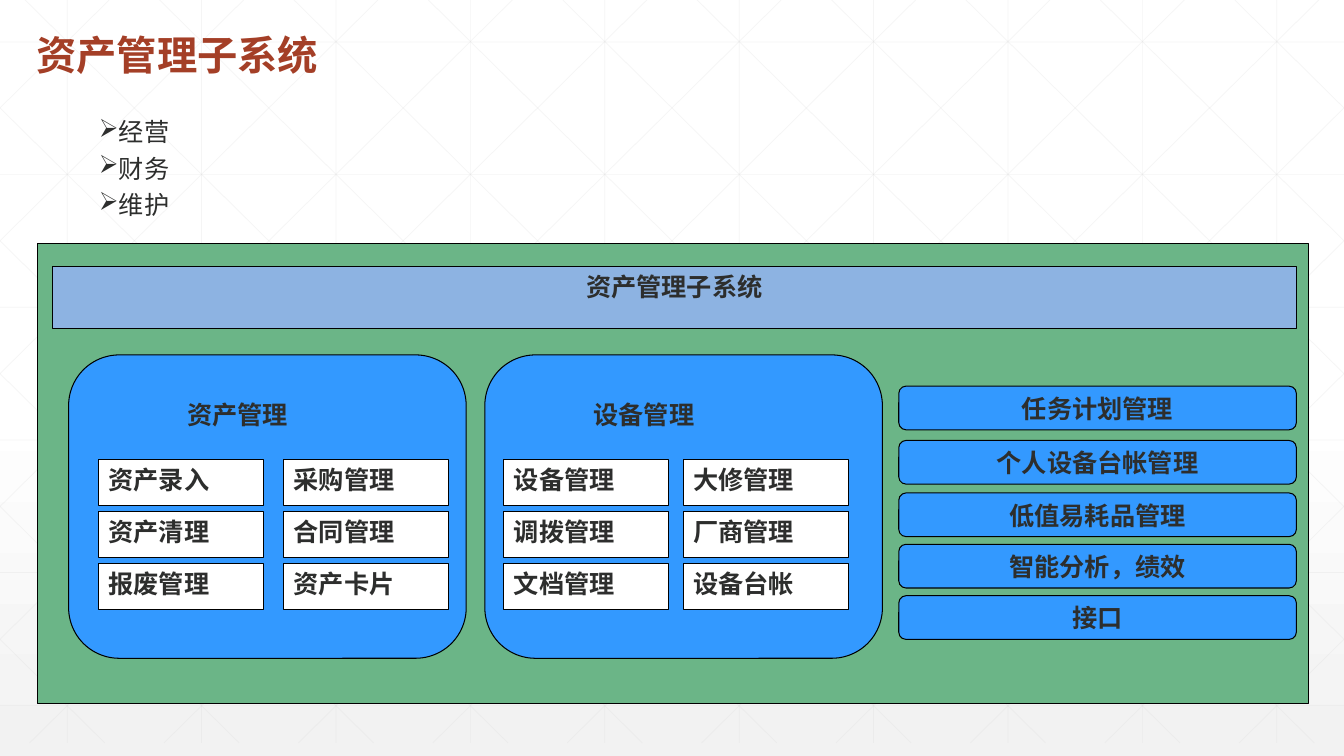
from lxml import etree
from pptx import Presentation
from pptx.dml.color import RGBColor
from pptx.enum.shapes import MSO_CONNECTOR, MSO_SHAPE
from pptx.enum.text import MSO_ANCHOR, PP_ALIGN
from pptx.oxml.ns import qn
from pptx.util import Pt

WIDTH, HEIGHT = 960, 540
LATTICE_BOTTOM = 530.6
STRAIGHT = MSO_CONNECTOR.STRAIGHT
RECT, ROUNDED = MSO_SHAPE.RECTANGLE, MSO_SHAPE.ROUNDED_RECTANGLE
TOP, MIDDLE = MSO_ANCHOR.TOP, MSO_ANCHOR.MIDDLE
LEFT, CENTER = PP_ALIGN.LEFT, PP_ALIGN.CENTER

COLORS = {
    "paper": "FFFFFF", "paper_end": "F2F2F2", "lattice": "D9D9D9",
    "title": "A43F27", "ink": "2D2E2D", "outline": "000000",
    "frame": "6BB587", "banner": "8DB3E2", "module": "3399FF",
}
CJK_FONT = "Noto Sans CJK SC"
TITLE = {"size": Pt(28.8), "name": CJK_FONT, "bold": True}
LABEL = {"size": Pt(18), "name": "Calibri", "bold": True}
BULLET = {"size": Pt(18), "name": "Arial", "bold": False}

# left edge, heading left edge, cell column edges, heading, rows of cells
MODULES = [
    (49, 126.7, (70.4, 202.7), "资产管理",
     [("资产录入", "采购管理"), ("资产清理", "合同管理"), ("报废管理", "资产卡片")]),
    (346.3, 416.9, (360, 488.2), "设备管理",
     [("设备管理", "大修管理"), ("调拨管理", "厂商管理"), ("文档管理", "设备台帐")]),
]
SERVICES = [
    (275.8, "任务计划管理"), (314.6, "个人设备台帐管理"), (352.1, "低值易耗品管理"),
    (388.8, "智能分析，绩效"), (425.5, "接口"),
]


def rgb(color):
    return RGBColor.from_string(COLORS[color])


class SlideBuilder:
    def __init__(self, slide):
        self.slide = slide

    def background(self):
        fill = self.slide.background.fill
        fill.gradient()
        fill.gradient_angle = 270
        for stop, color, position in zip(
                fill.gradient_stops, ("paper", "paper_end"), (0.53, 1)):
            stop.color.rgb = rgb(color)
            stop.position = position

    def lattice_line(self, x1, y1, x2, y2):
        line = self.slide.shapes.add_connector(
            STRAIGHT, Pt(x1), Pt(y1), Pt(x2), Pt(y2))
        line.line.width = Pt(0.5)
        line.line.color.rgb = rgb("lattice")
        properties = line._element.spPr
        tint = next(properties.iter(qn("a:srgbClr")))
        etree.SubElement(tint, qn("a:alpha"), val="25000")
        etree.SubElement(properties, qn("a:effectLst"))

    def add_text(self, paragraph, text, style, color="ink"):
        run = paragraph.add_run()
        run.text = text
        for attribute, value in style.items():
            setattr(run.font, attribute, value)
        run.font.color.rgb = rgb(color)
        latin = run._r.rPr.find(qn("a:latin"))
        latin.addnext(latin.makeelement(qn("a:ea"), typeface=CJK_FONT))

    def box(self, x, y, width, height, fill, text="", kind=RECT,
            outline="outline", align=LEFT):
        shape = self.slide.shapes.add_shape(
            kind, Pt(x), Pt(y), Pt(width), Pt(height))
        shape.shadow.inherit = False
        shape.fill.solid()
        shape.fill.fore_color.rgb = rgb(fill)
        shape.line.color.rgb = rgb(outline)
        shape.line.width = Pt(0.75)
        if text:
            shape.text_frame.vertical_anchor = TOP
            paragraph = shape.text_frame.paragraphs[0]
            paragraph.alignment = align
            self.add_text(paragraph, text, LABEL)

    def text_frame(self, x, y, width, height, anchor=TOP):
        frame = self.slide.shapes.add_textbox(
            Pt(x), Pt(y), Pt(width), Pt(height)).text_frame
        frame.word_wrap = True
        frame.vertical_anchor = anchor
        return frame

    def title(self, text):
        paragraph = self.text_frame(18.7, 21.6, 892.8, 38.9, MIDDLE).paragraphs[0]
        paragraph.line_spacing = 0.9
        self.add_text(paragraph, text, TITLE, "title")

    def bullets(self, items):
        frame = self.text_frame(64.1, 79.9, 272.2, 93.6)
        frame.margin_top = frame.margin_bottom = Pt(3)
        frame.margin_left = frame.margin_right = Pt(6.5)
        for index, item in enumerate(items):
            paragraph = frame.add_paragraph() if index else frame.paragraphs[0]
            properties = paragraph._p.get_or_add_pPr()
            etree.SubElement(properties, qn("a:buChar"), char="➢")
            if index:
                paragraph.space_before = Pt(4.7)
            self.add_text(paragraph, item, BULLET)


def draw_lattice(builder):
    for column in range(10):
        x = 48 + 96 * column
        builder.lattice_line(x, 0, x, LATTICE_BOTTOM)
    for row in range(6):
        y = 30 + 94.75 * row
        builder.lattice_line(0, y, WIDTH, y)
    run = 536.8
    slope = LATTICE_BOTTOM / run
    for step in range(-5, 10):
        start = 18 + 96 * step
        x1, x2 = max(start, 0), min(start + run, WIDTH)
        y1, y2 = (x1 - start) * slope, (x2 - start) * slope
        builder.lattice_line(x1, y1, x2, y2)
        builder.lattice_line(WIDTH - x1, y1, WIDTH - x2, y2)


def main():
    deck = Presentation()
    deck.slide_width, deck.slide_height = Pt(WIDTH), Pt(HEIGHT)
    builder = SlideBuilder(deck.slides.add_slide(deck.slide_layouts[6]))
    builder.background()
    draw_lattice(builder)
    builder.title("资产管理子系统")

    builder.box(26.6, 173.8, 908, 328.8, "frame")
    builder.box(37.4, 190.5, 888.5, 44.2, "banner", "资产管理子系统", align=CENTER)
    for left, heading_left, columns, heading, rows in MODULES:
        builder.box(left, 253.5, 284, 216.7, "module", kind=ROUNDED)
        builder.box(heading_left, 281.5, 139, 28.1, "module", heading,
                    outline="module")
        for row, names in enumerate(rows):
            for x, name in zip(columns, names):
                builder.box(x, 328.3 + 37.1 * row, 117.7, 33.1, "paper", name)
    for y, service in SERVICES:
        builder.box(642, y, 284, 31.2, "module", service, ROUNDED, align=CENTER)

    builder.bullets(["经营", "财务", "维护"])
    deck.save("out.pptx")


if __name__ == "__main__":
    main()
